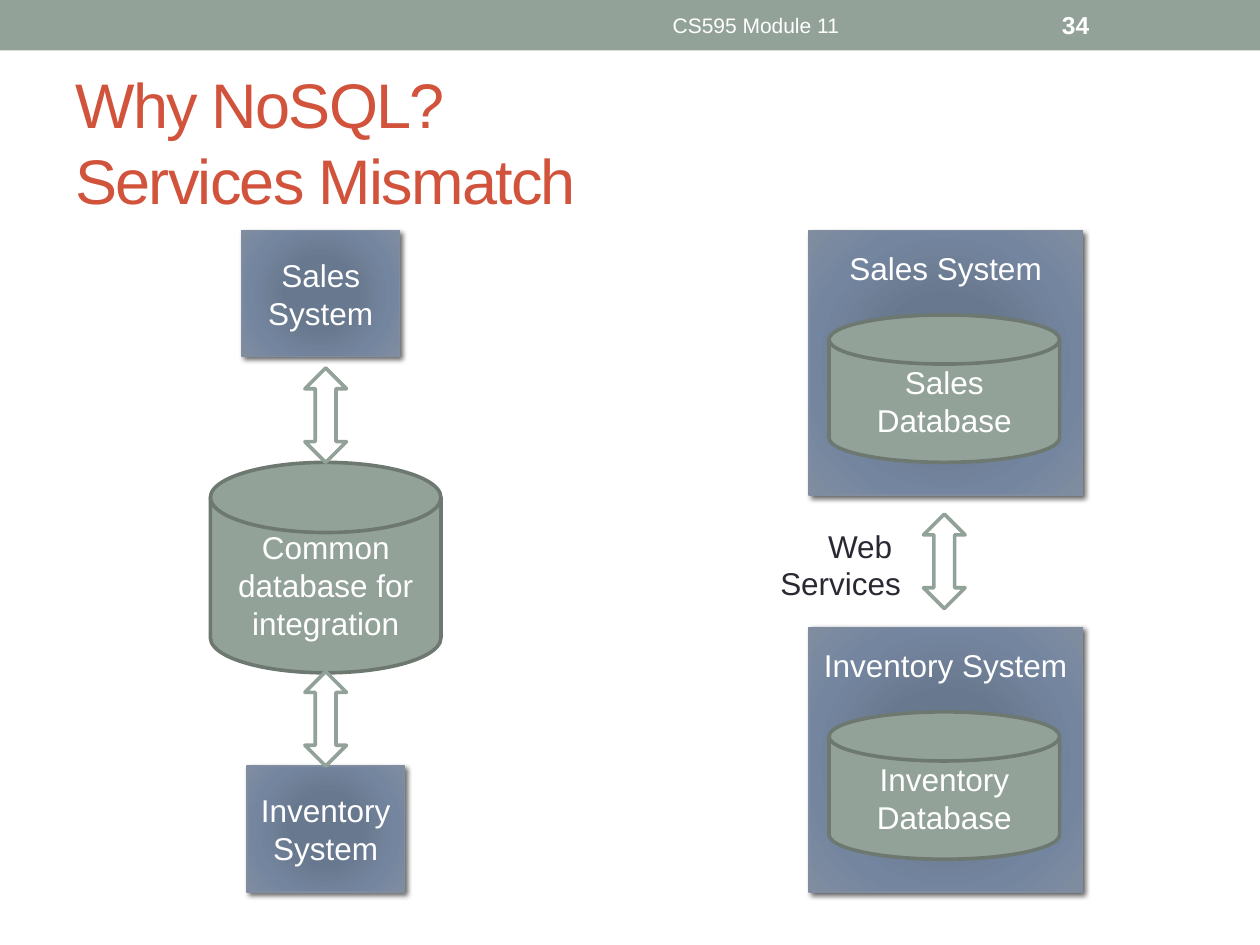
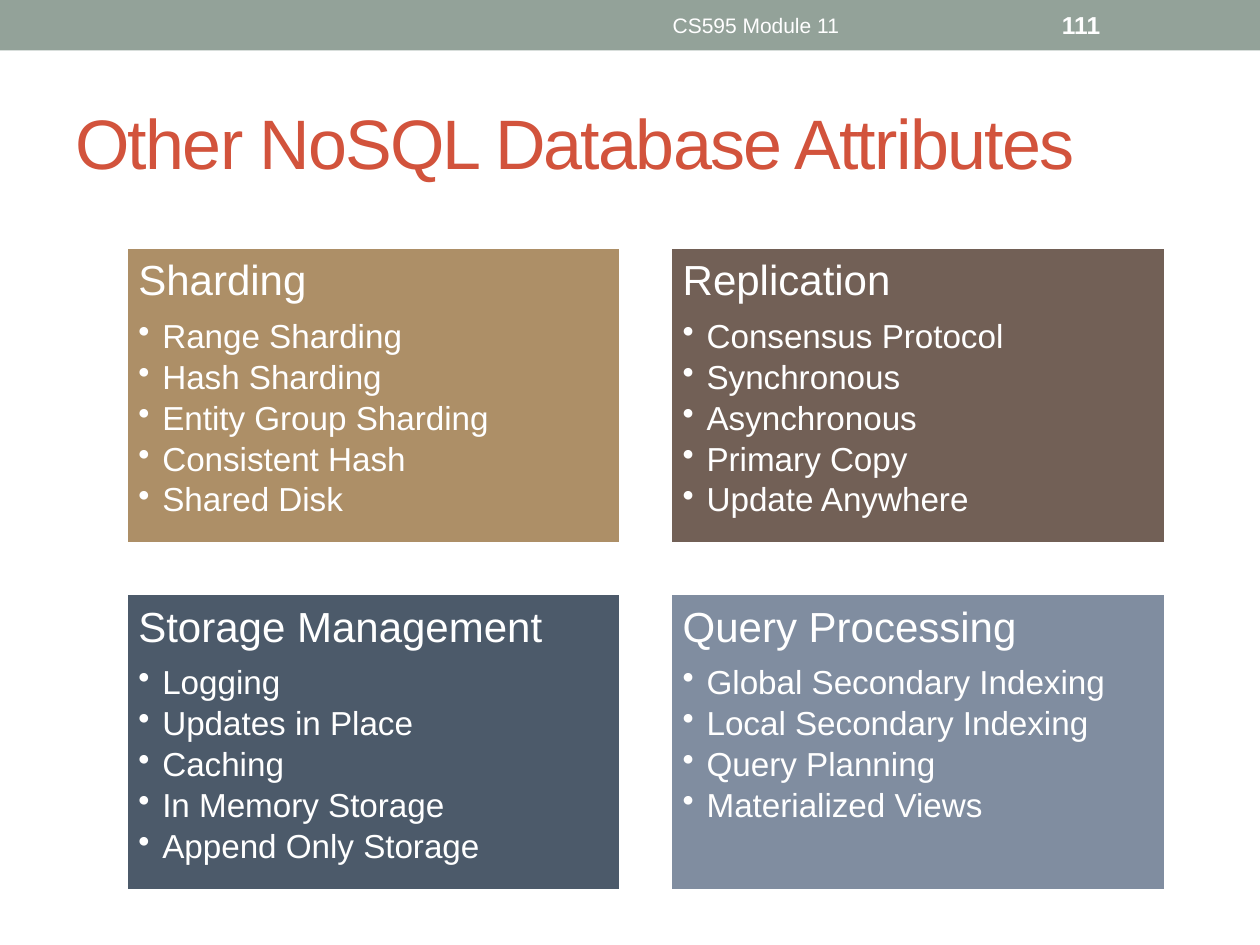
from lxml import etree
from pptx import Presentation
from pptx import util as u
from pptx.dml.color import RGBColor
from pptx.enum import shapes, text
from pptx.oxml import parse_xml
from pptx.oxml.ns import qn

SAGE = RGBColor(0x93, 0xA2, 0x99)
SAGE_DARK = RGBColor(0x6D, 0x78, 0x71)
RUST = RGBColor(0xD2, 0x53, 0x3C)
INK = RGBColor(0x29, 0x29, 0x34)
WHITE = RGBColor(0xFF, 0xFF, 0xFF)
TAN = RGBColor(0xAD, 0x8F, 0x67)
BROWN = RGBColor(0x72, 0x60, 0x56)
NAVY = RGBColor(0x4C, 0x5A, 0x6A)
SLATE = RGBColor(0x80, 0x8D, 0xA0)
GLOW = [(0, RGBColor(0x67, 0x77, 0x90)), (34, RGBColor(0x68, 0x78, 0x8E)),
        (70, RGBColor(0x74, 0x86, 0x9F)), (100, SLATE)]

FONT = "Arial"
A_NS = 'xmlns:a="http://schemas.openxmlformats.org/drawingml/2006/main"'
LEFT, CENTER, RIGHT = text.PP_ALIGN.LEFT, text.PP_ALIGN.CENTER, text.PP_ALIGN.RIGHT
MIDDLE, TOP = text.MSO_ANCHOR.MIDDLE, text.MSO_ANCHOR.TOP
SHAPE = shapes.MSO_SHAPE
OUTLINE = 2.08


def inches(box):
    return [u.Inches(length) for length in box]


def write_run(paragraph, words, size, color, bold=False):
    run = paragraph.add_run()
    run.text = words
    font = run.font
    font.name, font.size, font.bold = FONT, u.Pt(size), bold
    font.color.rgb = color
    return run


def prepare_frame(shape, anchor, wrap=True):
    frame = shape.text_frame
    frame.word_wrap = wrap
    frame.vertical_anchor = anchor
    return frame


def add_label(slide, box, lines, size, color, align=LEFT, anchor=MIDDLE, wrap=True, bold=False):
    frame = prepare_frame(slide.shapes.add_textbox(*inches(box)), anchor, wrap)
    for index, line in enumerate(lines):
        paragraph = frame.add_paragraph() if index else frame.paragraphs[0]
        paragraph.alignment = align
        write_run(paragraph, line, size, color, bold)


def add_block(slide, kind, box, fill, line=None, width=OUTLINE):
    block = slide.shapes.add_shape(kind, *inches(box))
    block.shadow.inherit = False
    block.fill.solid()
    block.fill.fore_color.rgb = fill
    if line is None:
        block.line.fill.background()
    else:
        block.line.color.rgb = line
        block.line.width = u.Pt(width)
    return block


def caption(block, words, anchor=MIDDLE):
    frame = prepare_frame(block, anchor)
    frame.paragraphs[0].alignment = CENTER
    write_run(frame.paragraphs[0], words, 18, WHITE)
    return frame


def add_header(slide, title_lines, title_size, number):
    add_block(slide, SHAPE.RECTANGLE, (0, 0, 10, 0.4), SAGE)
    frame = prepare_frame(slide.shapes.add_textbox(*inches((0.5, 0.58, 9, 1.08))), MIDDLE)
    title = frame.paragraphs[0]
    for index, line in enumerate(title_lines):
        if index:
            title.add_line_break()
        run = write_run(title, line, title_size, RUST)
        run.font._element.set("spc", "-100")
    add_label(slide, (3.75, 0.02, 4.5, 0.36), ["CS595 Module 11"], 12, WHITE, CENTER)
    add_label(slide, (8.33, 0.02, 1.17, 0.36), [number], 14, WHITE, bold=True)


def add_system(slide, box, words, anchor=MIDDLE):
    system = add_block(slide, SHAPE.RECTANGLE, box, SLATE, SLATE, 0.75)
    properties = system._element.spPr
    stops = "".join(f'<a:gs pos="{position * 1000}"><a:srgbClr val="{color}"/></a:gs>'
                    for position, color in GLOW)
    glow = parse_xml(
        f'<a:gradFill {A_NS} rotWithShape="1"><a:gsLst>{stops}</a:gsLst><a:path path="circle">'
        '<a:fillToRect l="100000" t="100000" r="100000" b="100000"/></a:path></a:gradFill>')
    properties.replace(properties.find(qn("a:solidFill")), glow)
    properties.find(qn("a:effectLst")).append(parse_xml(
        f'<a:outerShdw {A_NS} blurRad="{u.Pt(3)}" dist="{u.Pt(2)}" dir="2700000" '
        'algn="tl" rotWithShape="0"><a:srgbClr val="000000"><a:alpha val="60000"/>'
        '</a:srgbClr></a:outerShdw>'))
    return caption(system, words, anchor)


def add_database(slide, box, words):
    caption(add_block(slide, SHAPE.FLOWCHART_MAGNETIC_DISK, box, SAGE, SAGE_DARK), words)


def add_exchange(slide, left, top):
    add_block(slide, SHAPE.UP_DOWN_ARROW, (left, top, 0.33, 0.75), WHITE, SAGE)


def add_shared_database(slide, left, top):
    add_database(slide, (left, top + 1.84, 1.83, 1.67), "Common database for integration")
    add_system(slide, (left + 0.25, top, 1.25, 1), "Sales System")
    add_system(slide, (left + 0.29, top + 4.25, 1.25, 1), "Inventory System")
    for offset in (1.09, 3.5):
        add_exchange(slide, left + 0.75, top + offset)


def add_separate_databases(slide, left, top):
    for index, subject in enumerate(("Sales", "Inventory")):
        system_top = top + index * 3.15
        frame = add_system(slide, (left, system_top, 2.17, 2.1), f"{subject} System", TOP)
        frame.margin_top = u.Inches(0.15)
        add_database(slide, (left + 0.16, system_top + 0.67, 1.83, 1.17), f"{subject} Database")
    add_exchange(slide, left + 0.91, top + 2.25)
    add_label(slide, (left - 0.34, top + 2.3, 1.17, 0.71), ["Web ", "Services"],
              18, INK, RIGHT, TOP, wrap=False)


def add_attribute_card(slide, box, fill, heading, items):
    card = add_block(slide, SHAPE.RECTANGLE, box, fill, WHITE)
    frame = prepare_frame(card, TOP)
    frame.margin_left = frame.margin_right = u.Inches(0.1)
    frame.margin_top = frame.margin_bottom = u.Inches(0.1)
    for index, words in enumerate([heading, *items]):
        paragraph = frame.add_paragraph() if index else frame.paragraphs[0]
        paragraph.alignment = LEFT
        paragraph.line_spacing = 0.9
        paragraph.space_after = u.Pt(2.85 if index else 8.4)
        write_run(paragraph, words, 19 if index else 24, WHITE)
        if index:
            paragraph.level = 1
            properties = paragraph._p.get_or_add_pPr()
            properties.set("marL", str(u.Inches(0.19)))
            properties.set("indent", str(-u.Inches(0.19)))
            etree.SubElement(properties, qn("a:buChar")).set("char", "•")


def add_attribute_grid(slide, left, top, cards):
    for index, (fill, heading, items) in enumerate(cards):
        row, column = divmod(index, 2)
        box = (left + column * 4.32, top + row * 2.75, 3.93, 2.36)
        add_attribute_card(slide, box, fill, heading, items)


ATTRIBUTES = [
    (TAN, "Sharding", ["Range Sharding", "Hash Sharding", "Entity Group Sharding",
                       "Consistent Hash", "Shared Disk"]),
    (BROWN, "Replication", ["Consensus Protocol", "Synchronous", "Asynchronous",
                            "Primary Copy", "Update Anywhere"]),
    (NAVY, "Storage Management", ["Logging", "Updates in Place", "Caching",
                                  "In Memory Storage", "Append Only Storage"]),
    (SLATE, "Query Processing", ["Global Secondary Indexing", "Local Secondary Indexing",
                                 "Query Planning", "Materialized Views"]),
]


def build_mismatch(slide):
    add_header(slide, ["Why NoSQL?", "Services Mismatch"], 36, "34")
    add_shared_database(slide, 1.67, 1.83)
    add_separate_databases(slide, 6.42, 1.83)


def build_attributes(slide):
    add_header(slide, ["Other NoSQL Database Attributes"], 40, "111")
    add_attribute_grid(slide, 1, 1.96, ATTRIBUTES)


def main():
    deck = Presentation()
    deck.slide_width, deck.slide_height = u.Inches(10), u.Inches(7.5)
    for build in (build_mismatch, build_attributes):
        build(deck.slides.add_slide(deck.slide_layouts[6]))
    deck.save("out.pptx")


if __name__ == "__main__":
    main()
